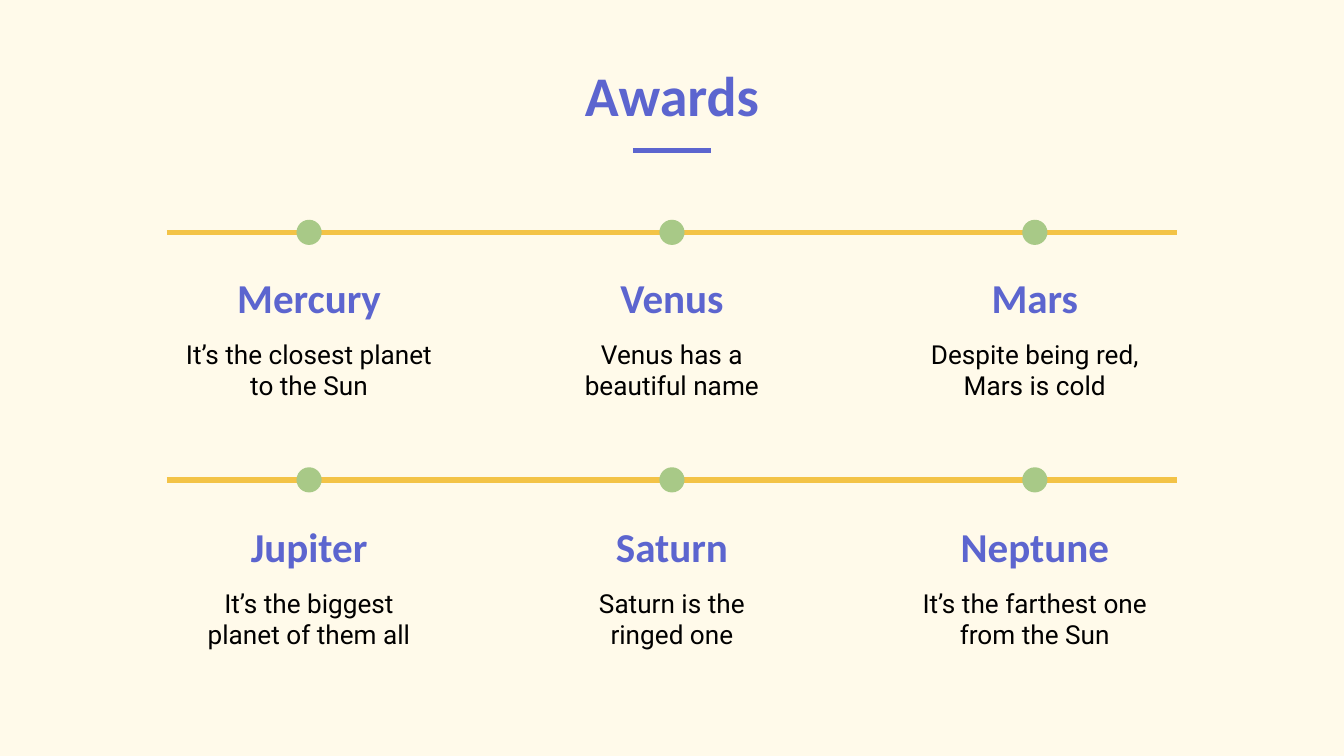
from pptx import Presentation
from pptx.dml.color import RGBColor
from pptx.enum.shapes import MSO_CONNECTOR, MSO_SHAPE
from pptx.enum.text import MSO_ANCHOR, MSO_AUTO_SIZE, PP_ALIGN
from pptx.oxml.ns import qn
from pptx.util import Pt
from lxml.etree import SubElement

CREAM, PURPLE, YELLOW, GREEN, BLACK = "FFFAEA", "5C65CF", "F3C347", "A8C987", "000000"


def write_text(shape, text, font="Calibri", size=22, color=PURPLE, bold=True, anchor=MSO_ANCHOR.BOTTOM):
    frame = shape.text_frame
    frame.text = text
    frame.word_wrap = True
    frame.auto_size = MSO_AUTO_SIZE.NONE
    frame.vertical_anchor = anchor
    frame.margin_left = frame.margin_right = frame.margin_top = frame.margin_bottom = Pt(7.2)
    for paragraph in frame.paragraphs:
        paragraph.alignment = PP_ALIGN.CENTER
        paragraph.font.name = font
        paragraph.font.size = Pt(size)
        paragraph.font.bold = bold
        paragraph.font.color.rgb = RGBColor.from_string(color)


def add_rule(left, right, y, color):
    """Draw a horizontal line without a shadow."""
    line = slide.shapes.add_connector(MSO_CONNECTOR.STRAIGHT, Pt(left), Pt(y), Pt(right), Pt(y))
    line.line.color.rgb = RGBColor.from_string(color)
    line.line.width = Pt(3)
    SubElement(line._element.spPr, qn("a:effectLst"))


presentation = Presentation()
presentation.slide_width, presentation.slide_height = Pt(720), Pt(405)
slide = presentation.slides.add_slide(presentation.slide_layouts[5])
slide.background.fill.solid()
slide.background.fill.fore_color.rgb = RGBColor.from_string(CREAM)

add_rule(339, 381, 80.6, PURPLE)
title = slide.shapes.title
title.left, title.top, title.width, title.height = Pt(56), Pt(16), Pt(608), Pt(59.5)
write_text(title, "Awards", size=30)

# Each row: timeline height, heading top, then the planets from left to right
rows = [
    (124.5, 127, [
        ("Mercury", "It’s the closest planet to the Sun"),
        ("Venus", "Venus has a\nbeautiful name"),
        ("Mars", "Despite being red,\nMars is cold"),
    ]),
    (257.1, 260.4, [
        ("Jupiter", "It’s the biggest planet of them all"),
        ("Saturn", "Saturn is the\nringed one"),
        ("Neptune", "It’s the farthest one from the Sun"),
    ]),
]
BOX_WIDTH, BOX_HEIGHT, DOT = 147, 52.5, 13.5

for line_y, heading_top, planets in rows:
    add_rule(89.4, 630.6, line_y, YELLOW)
    for column, (name, description) in enumerate(planets):
        center = 360 + (column - 1) * 194.4
        left = Pt(center - BOX_WIDTH / 2)

        dot = slide.shapes.add_shape(
            MSO_SHAPE.OVAL, Pt(center - DOT / 2), Pt(line_y - DOT / 2), Pt(DOT), Pt(DOT))
        dot.shadow.inherit = False
        dot.fill.solid()
        dot.fill.fore_color.rgb = RGBColor.from_string(GREEN)
        dot.line.fill.background()

        heading = slide.shapes.add_textbox(left, Pt(heading_top), Pt(BOX_WIDTH), Pt(BOX_HEIGHT))
        write_text(heading, name)
        body = slide.shapes.add_textbox(left, Pt(heading_top + 47), Pt(BOX_WIDTH), Pt(BOX_HEIGHT))
        write_text(body, description, font="Roboto", size=14, color=BLACK, bold=False,
                   anchor=MSO_ANCHOR.TOP)

presentation.save("out.pptx")
